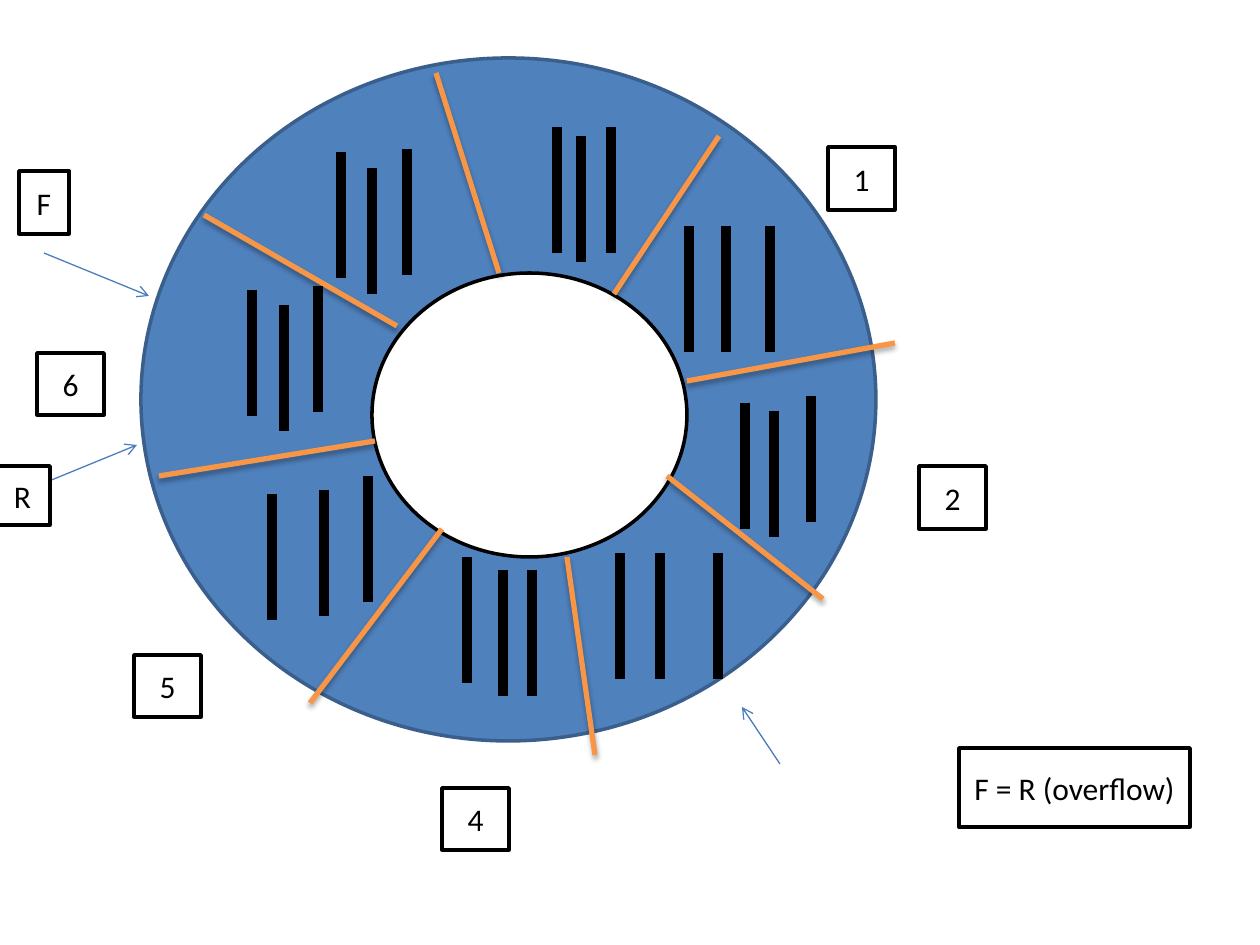
from lxml.etree import SubElement as Sub
from pptx import Presentation
from pptx.dml.color import RGBColor as RGB
from pptx.enum.shapes import MSO_CONNECTOR as Link, MSO_SHAPE as Shape
from pptx.enum.text import MSO_ANCHOR as Anchor, PP_ALIGN as Align
from pptx.oxml.ns import qn
from pptx.util import Pt

PX = 914400 // 126
COL = {"ring": "4F81BD", "edge": "3A5F8C", "cut": "F79646",
       "arrow": "4B7EBC", "ink": "000000", "paper": "FFFFFF"}

# Content: left, top, width, height
RING = (141, 58, 735, 683)
HOLE = (372, 273, 315, 284)
BOXES = [
    ("F", 19, 171, 50, 63),
    ("1", 828, 147, 67, 63),
    ("2", 919, 466, 67, 63),
    ("4", 442, 788, 67, 62),
    ("5", 134, 655, 67, 62),
    ("6", 37, 353, 67, 62),
    ("R", -5, 466, 55, 59),
    ("F = R (overflow)", 959, 748, 231, 79),
]
# Lines: x and y of the start, x and y of the end
CUTS = [
    (436, 73, 499, 273), (719, 136, 614, 294),
    (895, 343, 687, 381), (823, 599, 667, 476),
    (595, 755, 567, 557), (310, 703, 442, 529),
    (159, 476, 375, 441), (204, 215, 397, 326),
]
ARROWS = [(44, 253, 149, 296), (780, 764, 742, 707), (37, 486, 137, 445)]
# Bars in each ring sector: x and top
BAR = 126
SECTORS = [
    [(557, 127), (581, 136), (611, 127)],
    [(689, 226), (726, 226), (770, 226)],
    [(745, 403), (774, 411), (811, 396)],
    [(620, 553), (660, 553), (718, 553)],
    [(467, 557), (503, 570), (532, 570)],
    [(272, 494), (324, 490), (368, 476)],
    [(252, 290), (284, 305), (318, 286)],
    [(341, 152), (372, 168), (407, 149)],
]

deck = Presentation()
deck.slide_width, deck.slide_height = 1260 * PX, 945 * PX
slide = deck.slides.add_slide(deck.slide_layouts[6])


def add_form(kind, place, fill, edge):
    form = slide.shapes.add_shape(kind, *(n * PX for n in place))
    form.shadow.inherit = False
    form.fill.solid()
    form.fill.fore_color.rgb = RGB.from_string(COL[fill])
    form.line.color.rgb = RGB.from_string(COL[edge])
    form.line.width = Pt(2)
    return form


def add_line(ends, col, width):
    """Draw a line; return it with its empty effect list."""
    line = slide.shapes.add_connector(Link.STRAIGHT, *(n * PX for n in ends))
    line.line.color.rgb = RGB.from_string(COL[col])
    line.line.width = Pt(width)
    return line, Sub(line._element.spPr, qn("a:effectLst"))


def add_box(text, *place):
    box = add_form(Shape.RECTANGLE, place, "paper", "ink")
    frame = box.text_frame
    frame.margin_left = frame.margin_right = 0
    frame.vertical_anchor = Anchor.MIDDLE
    frame.text = text
    para = frame.paragraphs[0]
    para.alignment = Align.CENTER
    para.font.name, para.font.size = "Calibri", Pt(18)
    para.font.color.rgb = RGB.from_string(COL["ink"])


# Ring
add_form(Shape.OVAL, RING, "ring", "edge")
add_form(Shape.OVAL, HOLE, "paper", "ink")

# Sector dividers with a soft shadow
for ends in CUTS:
    _, fx = add_line(ends, "cut", 3)
    shade = Sub(fx, qn("a:outerShdw"), blurRad=str(Pt(3.1)), dist=str(Pt(1.8)),
                dir="5400000", rotWithShape="0")
    tone = Sub(shade, qn("a:srgbClr"), val=COL["ink"])
    Sub(tone, qn("a:alpha"), val="35000")

# Bars
for bars in SECTORS:
    for x, top in bars:
        add_line((x, top, x, top + BAR), "ink", 6)

# Pointers
for ends in ARROWS:
    line, _ = add_line(ends, "arrow", 0.75)
    Sub(line.line._get_or_add_ln(), qn("a:tailEnd"), type="arrow")

# Labels
for box in BOXES:
    add_box(*box)

deck.save("out.pptx")
